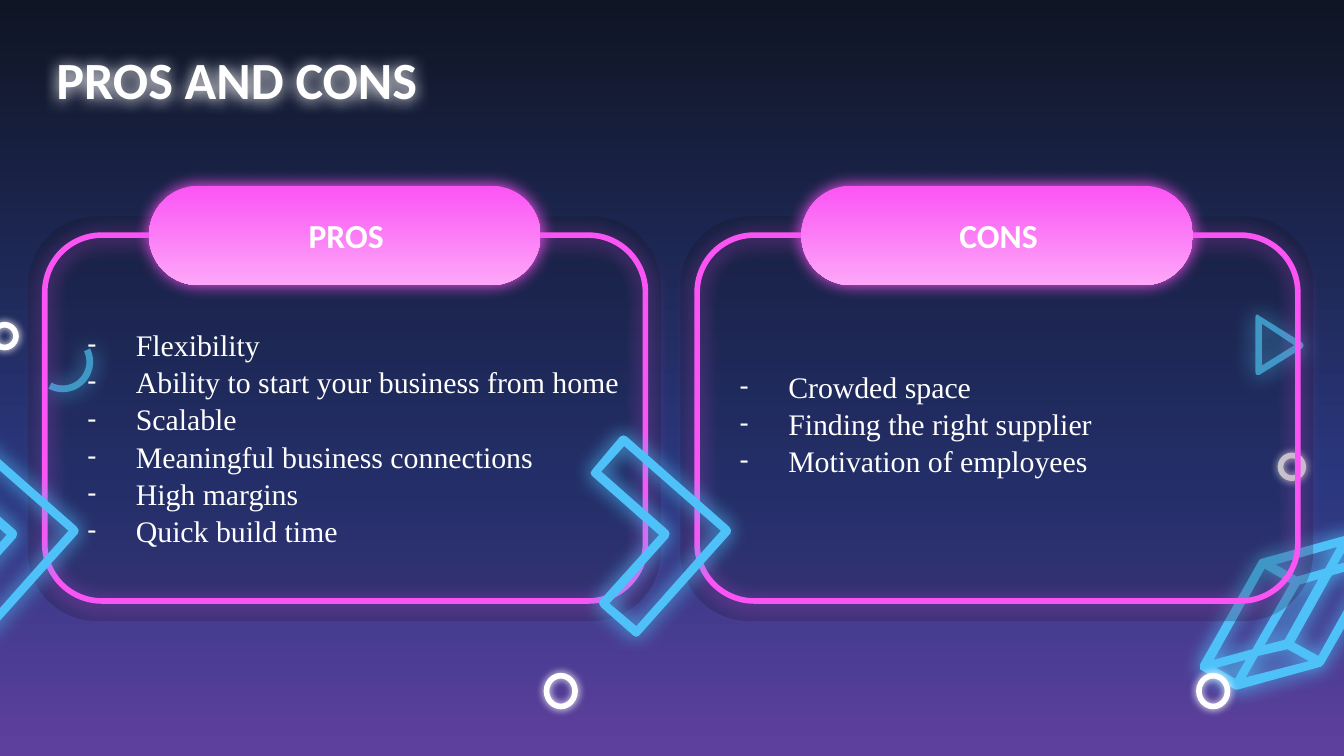
import math
from dataclasses import dataclass

import copy
import lxml.etree
import pptx
import pptx.dml.color
import pptx.enum.shapes
import pptx.enum.text
import pptx.oxml.ns
import pptx.util

Pt = pptx.util.Pt
RGB = pptx.dml.color.RGBColor.from_string
qn = pptx.oxml.ns.qn
SHAPE = pptx.enum.shapes.MSO_SHAPE
ALIGN = pptx.enum.text.PP_ALIGN
ANCHOR = pptx.enum.text.MSO_ANCHOR


@dataclass(frozen=True)
class Theme:
    white: str = "FFFFFF"
    night: str = "0F1524"
    pink: str = "FB54F4"
    cyan: str = "4FC1F9"
    sky: tuple = ((0, "0F1524"), (0.65, "2B3880"), (1, "5F3F9E"))
    pill: tuple = ((0, "FB54F4"), (1, "FDA7F9"))
    heading_font: str = "Calibri"
    body_font: str = "Times New Roman"
    title_size: int = 28
    label_size: int = 18
    body_size: int = 16
    outline: int = 3


def child(parent, tag, **values):
    return lxml.etree.SubElement(parent, qn(tag), {k: str(v) for k, v in values.items()})


def apply(target, values):
    for name, value in values.items():
        setattr(target, name, value)


class NeonSlide:
    def __init__(self, slide, theme):
        self.slide, self.theme = slide, theme

    def gradient(self, fill, owner, stops):
        fill.gradient()
        fill.gradient_angle = 270
        stop_list = owner.find(".//" + qn("a:gsLst"))
        while len(stop_list) < len(stops):
            stop_list.append(copy.deepcopy(stop_list[-1]))
        for stop, (position, color) in zip(fill.gradient_stops, stops):
            stop.position = position
            stop.color.rgb = RGB(color)

    def background(self, stops):
        self.gradient(self.slide.background.fill, self.slide.element, stops)

    def glow(self, shape, color, blur, alpha=100, distance=0):
        shape.shadow.inherit = False
        effects = shape.element.spPr.find(qn("a:effectLst"))
        shadow = child(effects, "a:outerShdw", blurRad=Pt(blur), dist=Pt(distance),
                       dir=5400000, algn="bl", rotWithShape=0)
        child(child(shadow, "a:srgbClr", val=color), "a:alpha", val=alpha * 1000)

    def preset(self, kind, box, fill=None, alpha=None, stops=None, line=None, radius=None):
        shape = self.slide.shapes.add_shape(kind, *map(Pt, box))
        shape.shadow.inherit = False
        if radius is not None:
            shape.adjustments[0] = radius
        if stops:
            self.gradient(shape.fill, shape.element.spPr, stops)
        elif fill:
            shape.fill.solid()
            shape.fill.fore_color.rgb = RGB(fill)
            color = shape.element.spPr.find(".//" + qn("a:srgbClr"))
            child(color, "a:alpha", val=alpha * 1000)
        else:
            shape.fill.background()
        if line:
            shape.line.color.rgb = RGB(line)
            shape.line.width = Pt(self.theme.outline)
        else:
            shape.line.fill.background()
        return shape

    def ring(self, left, top, width, height):
        ring = self.preset(SHAPE.OVAL, (left, top, width, height), line=self.theme.white)
        self.glow(ring, self.theme.white, 4.5)

    def outline(self, contours, blur=11.2, shift=0):
        """Filled figure: the first contour is the rim, the others are holes."""
        contours = [[(Pt(x + shift), Pt(y)) for x, y in contour] for contour in contours]
        builder = self.slide.shapes.build_freeform(*contours[0][0], scale=1.0)
        for index, (start, *rest) in enumerate(contours):
            if index:
                builder.move_to(*start)
            builder.add_line_segments(rest, close=True)
        figure = builder.convert_to_shape()
        figure.fill.solid()
        figure.fill.fore_color.rgb = RGB(self.theme.cyan)
        figure.line.fill.background()
        self.glow(figure, self.theme.cyan, blur)

    def set_lines(self, shape, lines, font, size, bold=False, align=ALIGN.LEFT,
                  anchor=ANCHOR.TOP, bullet=None):
        frame = shape.text_frame
        apply(frame, dict(word_wrap=True, auto_size=pptx.enum.text.MSO_AUTO_SIZE.NONE,
                          vertical_anchor=anchor, margin_left=Pt(7.2), margin_top=Pt(7.2),
                          margin_right=Pt(6), margin_bottom=Pt(7.2)))
        for index, line in enumerate(lines):
            paragraph = frame.add_paragraph() if index else frame.paragraphs[0]
            paragraph.alignment = align
            run = paragraph.add_run()
            run.text = line
            apply(run.font, dict(name=font, size=Pt(size), bold=bold))
            run.font.color.rgb = RGB(self.theme.white)
            if bullet:
                paragraph.line_spacing = 1.04
                props = paragraph._p.get_or_add_pPr()
                props.set("marL", str(Pt(36)))
                props.set("indent", str(Pt(-26)))
                child(child(props, "a:buClr"), "a:srgbClr", val=self.theme.white)
                child(props, "a:buFont", typeface=self.theme.heading_font)
                child(props, "a:buChar", char=bullet)

    def title(self, text, box):
        title = self.slide.shapes.title
        apply(title, dict(zip(("left", "top", "width", "height"), map(Pt, box))))
        self.set_lines(title, [text], self.theme.heading_font, self.theme.title_size, bold=True)
        self.glow(title, self.theme.white, 8)

    def text(self, lines, box, **style):
        self.set_lines(self.slide.shapes.add_textbox(*map(Pt, box)), lines, **style)

    def card(self, label, points, shift, list_top, list_height):
        theme = self.theme
        # Panel, neon frame and label pill
        self.preset(SHAPE.ROUNDED_RECTANGLE, (15 + shift, 116, 339, 216.7),
                    fill=theme.night, alpha=24, radius=0.17)
        frame = self.preset(SHAPE.ROUNDED_RECTANGLE, (24 + shift, 126, 321.8, 196),
                            line=theme.pink, radius=0.156)
        self.glow(frame, theme.pink, 11.2, alpha=62, distance=1.5)
        pill = self.preset(SHAPE.ROUNDED_RECTANGLE, (79.8 + shift, 99.5, 209.8, 53.3),
                           stops=theme.pill, radius=0.5)
        self.glow(pill, theme.pink, 9)
        # Chevron and ring
        self.outline(CHEVRON, shift=shift)
        self.ring(292.8 + shift, 362, 15.3, 16.5)
        # Label and list
        self.text([label], (119 + shift, 99.5, 131.8, 53.3), font=theme.heading_font,
                  size=theme.label_size, bold=True, align=ALIGN.CENTER, anchor=ANCHOR.MIDDLE)
        self.text(points, (29.7 + shift, list_top, 310.3, list_height),
                  font=theme.body_font, size=theme.body_size, bullet="-")


def arc(radius, start, end, center, steps=24):
    angles = (math.radians(start + (end - start) * i / steps) for i in range(steps + 1))
    return [(center[0] + radius * math.cos(a), center[1] + radius * math.sin(a)) for a in angles]


CHEVRON = [
    [(-32.4, 252), (-33.1, 253.4), (-32.4, 254.9), (3.6, 286.6), (-28.1, 321.8),
     (-28.5, 323.6), (-27.4, 325.4), (-10.1, 340.6), (-8.6, 341.2), (-7.2, 340.6),
     (41.8, 285.8), (42.1, 284), (41, 282.2), (-13.7, 234), (-15.5, 233.3), (-17.3, 234)],
    [(-15.1, 239), (36.7, 284.4), (-8.6, 335.5), (-23, 323.3), (8.6, 288),
     (9.2, 286), (8.6, 284.4), (-27.4, 252.7)],
]
TRIANGLE = [
    [(673.9, 168.5), (672.8, 168.8), (672.5, 170.6), (672.5, 199.4), (673.2, 200.9),
     (674.6, 200.9), (697.7, 186.5), (698.4, 185), (697.7, 183.6), (674.6, 169.2)],
    [(676.1, 173.5), (693.4, 185), (676.1, 195.8)],
]
PRISM = [
    [(722.2, 286.6), (675.4, 299.5), (674.6, 300.2), (643, 355.7), (643, 358.6),
     (661.7, 369.4), (663.1, 369.4), (707.8, 357.1), (709.2, 355.7), (740.9, 300.2),
     (741.6, 298.8), (740.2, 296.6), (722.9, 286.6)],
    [(733, 298.1), (716.4, 302.4), (722.2, 292.3)],
    [(716.4, 293), (709.9, 304.6), (694.8, 308.9), (683.3, 302.4)],
    [(733.7, 302.4), (706.3, 351.4), (693.4, 344.2), (713.5, 308.2)],
    [(706.3, 310.3), (688.3, 342.7), (677.5, 345.6), (696.2, 313.2)],
    [(691.2, 312.5), (671, 347.8), (650.2, 353.5), (677.5, 304.6)],
    [(701.3, 354.2), (667.4, 362.9), (673.9, 351.4), (689.8, 347.8)],
    [(667.4, 353.5), (661.7, 363.6), (651.6, 357.8)],
]
MOON_CENTER = (33.6, 193.8)
MOON = [arc(16.3, -26, 118, MOON_CENTER) + arc(12.7, 118, -26, MOON_CENTER)]

PROS = ["Flexibility", "Ability to start your business from home", "Scalable",
        "Meaningful business connections", "High margins", "Quick build time"]
CONS = ["Crowded space", "Finding the right supplier", "Motivation of employees"]


def main():
    deck = pptx.Presentation()
    apply(deck, dict(slide_width=Pt(720), slide_height=Pt(405)))
    theme = Theme()
    page = NeonSlide(deck.slides.add_slide(deck.slide_layouts[5]), theme)

    # Backdrop ornaments
    page.background(theme.sky)
    page.outline(TRIANGLE, blur=12.4)
    page.outline(PRISM)
    page.outline(MOON)
    page.ring(686, 244, 12.2, 12.2)
    page.ring(-3.6, 174, 12.2, 12.2)

    # Title and the two cards
    page.title("PROS AND CONS", (23, 18, 607.7, 45.4))
    page.card("PROS", PROS, 0, 167, 149)
    page.card("CONS", CONS, 349.5, 189.4, 79.2)
    deck.save("out.pptx")


if __name__ == "__main__":
    main()
